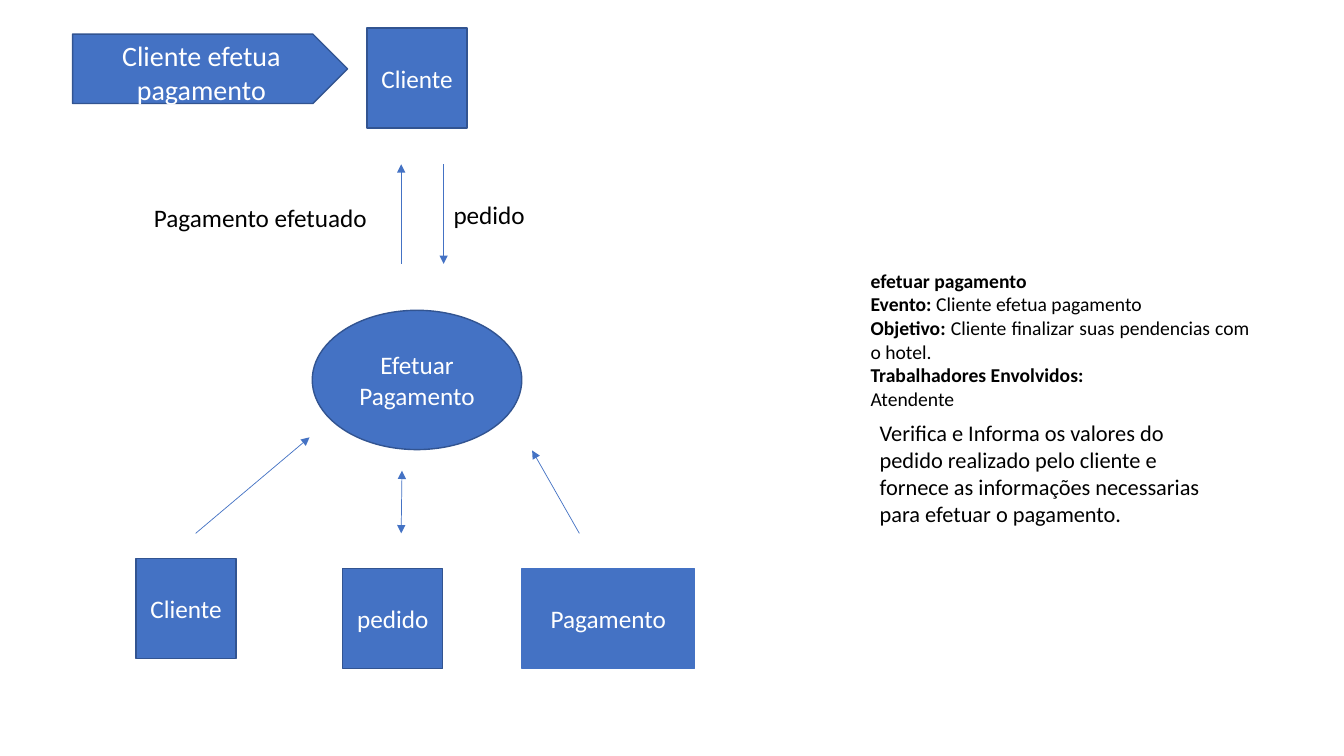
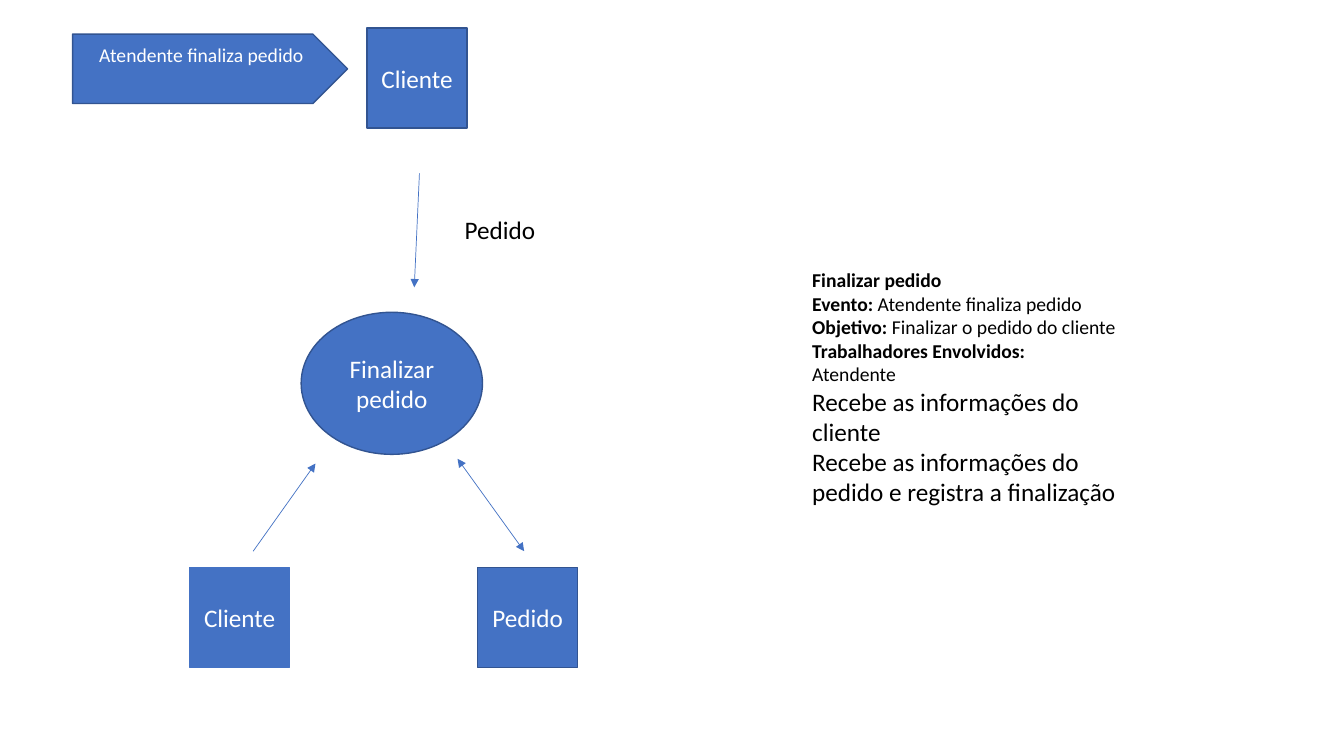
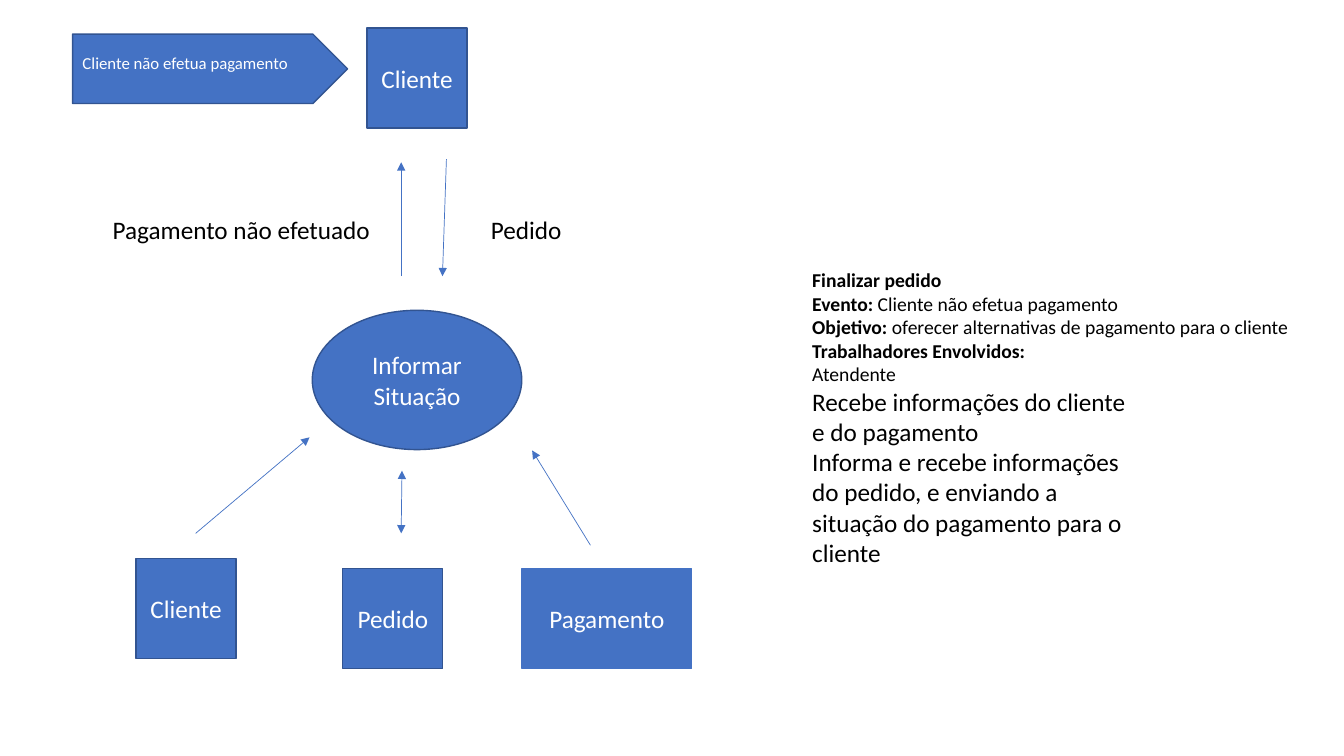
import dataclasses
import pptx
import pptx.dml.color
import pptx.enum.shapes
import pptx.enum.text
import pptx.oxml.ns
import pptx.oxml.xmlchemy
import pptx.util

Cm = pptx.util.Cm
Pt = pptx.util.Pt
Kind = pptx.enum.shapes.MSO_SHAPE
Align = pptx.enum.text.PP_ALIGN
Anchor = pptx.enum.text.MSO_ANCHOR


@dataclasses.dataclass(frozen=True)
class Theme:
    font: str = "Calibri"
    fill: str = "4472C4"
    edge: str = "325491"
    ink: str = "000000"
    pale: str = "FFFFFF"
    body: int = 18
    card: int = 14
    line: float = 1
    arrow: float = 0.5


theme = Theme()

SIDE = 2.52
FLAG = (1.83, 0.86, 6.93, 1.75)
CLIENT = ("Cliente", 9.25, 0.71, SIDE, theme.edge)
OVAL = (7.87, 7.82, 5.28, 3.51)
LEFT = ("Cliente", 3.43, 14.07, SIDE, theme.edge)
MID = (8.64, 14.33, SIDE, theme.edge)
RIGHT = (13.16, 14.33)
RISE = (4.93, 13.44, 7.8, 11.02, False)
BOTH = (10.11, 13.44, 10.13, 11.86, True)
CARD = (20.22, 6.63, 13.2, 3.25)
STAFF = [("Trabalhadores Envolvidos:", ""), ("", "Atendente")]

SLIDES = [
    dict(
        flag=("Cliente efetua pagamento", 20, 0.11, Align.CENTER),
        oval=("Efetuar Pagamento", OVAL),
        boxes=[CLIENT, LEFT, ("pedido", *MID),
               ("Pagamento", *RIGHT, 4.34, theme.fill)],
        arrows=[(10.11, 6.65, 10.11, 4.14, False),
                (11.18, 4.14, 11.18, 6.65, False),
                RISE, BOTH, (14.6, 13.44, 13.41, 11.35, False)],
        tags=[("Pagamento efetuado", (3.63, 4.98, 7.62, 1.02)),
              ("pedido", (11.18, 4.9, 4.95, 1.02))],
        card=((21.69, 6.65, 10.06, 3.84), [
            ("efetuar pagamento", ""),
            ("Evento: ", "Cliente efetua pagamento"),
            ("Objetivo:", " Cliente finalizar suas pendencias com o hotel.")]),
        note=((21.92, 10.44, 8.61, 3), 16, [
            "Verifica e Informa os valores do pedido realizado pelo cliente "
            "e fornece as informações necessarias para efetuar o pagamento."]),
    ),
    dict(
        flag=("Atendente finaliza pedido", 14, 0.21, Align.CENTER),
        oval=("Finalizar pedido", (7.59, 7.87, 4.57, 3.58)),
        boxes=[CLIENT, ("Cliente", 4.78, 14.3, SIDE, theme.fill),
               ("Pedido", 12.04, 14.3, SIDE, theme.edge)],
        arrows=[(10.57, 4.37, 10.44, 7.24, False),
                (13.21, 13.89, 11.53, 11.56, True),
                (6.38, 13.89, 7.95, 11.68, False)],
        tags=[("Pedido", (11.46, 5.28, 4.95, 1.02))],
        card=(CARD, [
            ("Finalizar pedido", ""),
            ("Evento:", " Atendente finaliza pedido"),
            ("Objetivo: ", "Finalizar o pedido do cliente")]),
        note=((20.22, 9.6, 8.61, 3.33), theme.body, [
            "Recebe as informações do cliente",
            "Recebe as informações do pedido e registra a finalização"]),
    ),
    dict(
        flag=("Cliente não efetua pagamento", 12, 0.47, Align.JUSTIFY),
        oval=("Informar Situação", OVAL),
        boxes=[CLIENT, LEFT, ("Pedido", *MID),
               ("Pagamento", *RIGHT, 4.27, theme.fill)],
        arrows=[(10.11, 6.96, 10.11, 4.09, False),
                (11.25, 4.01, 11.15, 6.96, False),
                RISE, BOTH, (14.88, 13.74, 13.41, 11.35, False)],
        tags=[("Pagamento não efetuado", (2.59, 5.28, 7.62, 1.02)),
              ("Pedido", (12.12, 5.28, 4.95, 1.02))],
        card=(CARD, [
            ("Finalizar pedido", ""),
            ("Evento: ", "Cliente não efetua pagamento"),
            ("Objetivo: ", "oferecer alternativas de pagamento para o cliente")]),
        note=((20.22, 9.6, 8.61, 4.88), theme.body, [
            "Recebe informações do cliente e do pagamento",
            "Informa e recebe informações do pedido, e enviando a situação "
            "do pagamento para o cliente"]),
    ),
]


def color(code):
    return pptx.dml.color.RGBColor.from_string(code)


def style(para, size, ink, align):
    para.alignment = align
    para.font.name = theme.font
    para.font.size = Pt(size)
    para.font.color.rgb = color(ink)


def add_node(slide, kind, text, place, edge=theme.edge,
             size=theme.body, align=Align.CENTER):
    node = slide.shapes.add_shape(kind, *map(Cm, place))
    node.shadow.inherit = False
    node.fill.solid()
    node.fill.fore_color.rgb = color(theme.fill)
    node.line.color.rgb = color(edge)
    node.line.width = Pt(theme.line)
    frame = node.text_frame
    frame.word_wrap = True
    frame.vertical_anchor = Anchor.MIDDLE
    frame.text = text
    style(frame.paragraphs[0], size, theme.pale, align)
    return node


def add_flag(slide, text, size, top, align):
    node = add_node(slide, Kind.PENTAGON, text, FLAG, size=size, align=align)
    frame = node.text_frame
    frame.vertical_anchor = Anchor.TOP
    frame.margin_top = Cm(top)
    frame.margin_bottom = 0


def add_arrow(slide, x, y, end_x, end_y, both):
    arrow = slide.shapes.add_connector(
        pptx.enum.shapes.MSO_CONNECTOR.STRAIGHT,
        Cm(x), Cm(y), Cm(end_x), Cm(end_y))
    arrow.line.color.rgb = color(theme.fill)
    arrow.line.width = Pt(theme.arrow)
    make = pptx.oxml.xmlchemy.OxmlElement
    props = arrow.element.spPr
    line = props.find(pptx.oxml.ns.qn("a:ln"))
    for name in ("a:headEnd", "a:tailEnd") if both else ("a:tailEnd",):
        tip = make(name)
        tip.set("type", "triangle")
        line.append(tip)
    props.append(make("a:effectLst"))


def add_text(slide, place, rows, size=theme.body, align=Align.LEFT):
    frame = slide.shapes.add_textbox(*map(Cm, place)).text_frame
    frame.word_wrap = True
    frame.auto_size = pptx.enum.text.MSO_AUTO_SIZE.SHAPE_TO_FIT_TEXT
    for index, (label, text) in enumerate(rows):
        para = frame.add_paragraph() if index else frame.paragraphs[0]
        style(para, size, theme.ink, align)
        for part, bold in ((label, True), (text, False)):
            if part:
                run = para.add_run()
                run.text = part
                run.font.bold = bold


def build(slide, data):
    add_flag(slide, *data["flag"])
    add_node(slide, Kind.OVAL, *data["oval"])
    for text, x, y, width, edge in data["boxes"]:
        add_node(slide, Kind.RECTANGLE, text, (x, y, width, SIDE), edge)
    for arrow in data["arrows"]:
        add_arrow(slide, *arrow)
    for text, place in data["tags"]:
        add_text(slide, place, [("", text)])
    place, rows = data["card"]
    add_text(slide, place, rows + STAFF, theme.card, Align.JUSTIFY)
    place, size, lines = data["note"]
    add_text(slide, place, [("", text) for text in lines], size)


def main():
    deck = pptx.Presentation()
    deck.slide_width = Cm(33.87)
    deck.slide_height = Cm(19.05)
    blank = deck.slide_layouts[6]
    for data in SLIDES:
        build(deck.slides.add_slide(blank), data)
    deck.save("out.pptx")


if __name__ == "__main__":
    main()
